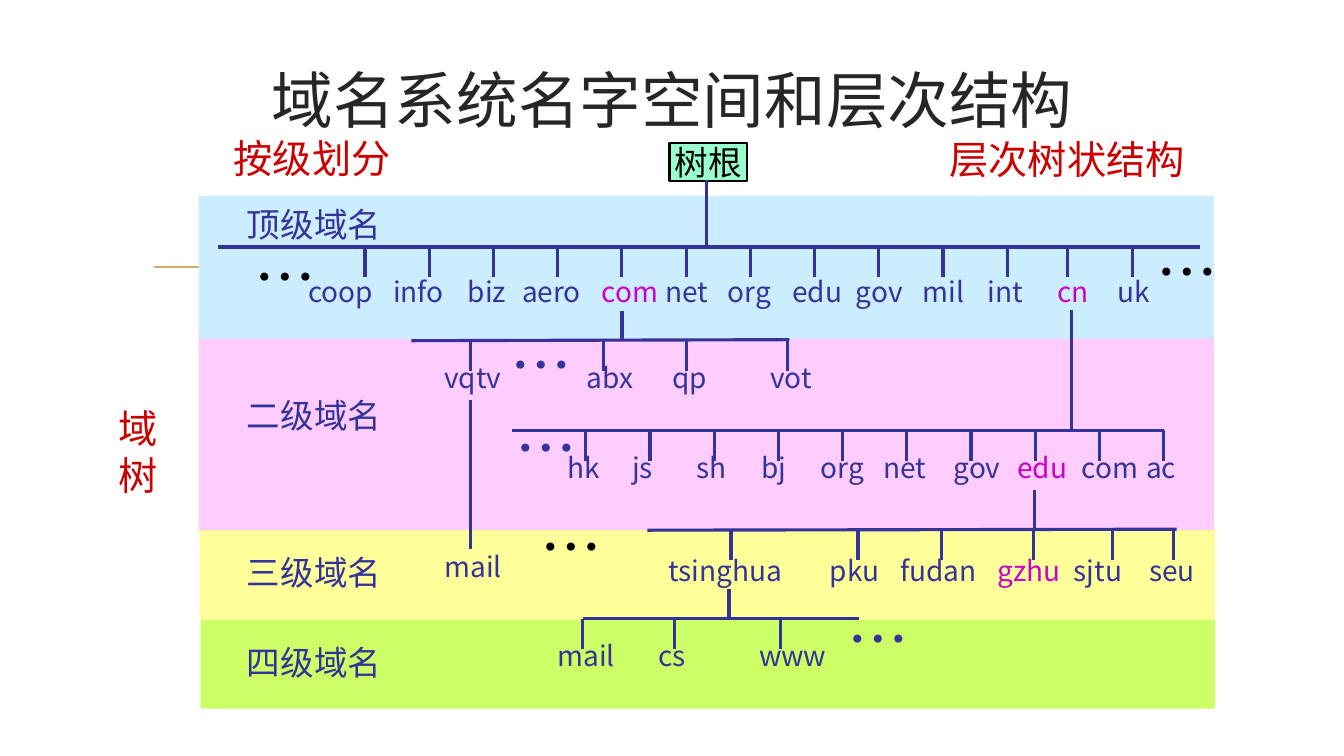
from pptx import Presentation
from pptx.dml.color import RGBColor
from pptx.enum.shapes import MSO_CONNECTOR as Connector, MSO_SHAPE as Preset
from pptx.enum.text import MSO_ANCHOR as Anchor, MSO_AUTO_SIZE as AutoSize, PP_ALIGN as Align
from pptx.oxml.ns import qn
from pptx.util import Inches, Pt
from lxml.etree import SubElement

FONT = "Noto Sans CJK SC"
COLORS = {
    "title": "262626", "heading": "CC0000", "tree": "333399", "active": "CC00CC",
    "black": "000000", "root": "99FFCC", "rule": "CBAF62",
    "top": "CCECFF", "second": "FFCCFF", "third": "FFFF99", "fourth": "CCFF66",
}
ACTIVE = {("top", "com"), ("top", "cn"), ("china", "edu"), ("education", "gzhu")}

BANDS = [
    ("third", 1.98, 5.23, 10.07, 0.92),
    ("fourth", 1.99, 6.15, 10.06, 0.88),
    ("second", 1.97, 3.29, 10.07, 1.97),
    ("top", 1.97, 1.94, 10.07, 1.42),
]
LEVELS = [("顶级域名", 1.97), ("二级域名", 3.87), ("三级域名", 5.43), ("四级域名", 6.32)]
HEADINGS = [
    ("层次树状结构", 9.32, 1.29, 2.56, 0.57),
    ("按级划分", 2.22, 1.28, 1.77, 0.57),
    ("域\n树", 1.08, 3.96, 0.73, 1.04),
]
ELLIPSES = [
    (11.37, 2.27, "black"), (2.43, 2.32, "black"), (5.26, 5.0, "black"),
    (5.01, 4.02, "tree"), (4.97, 3.19, "tree"), (8.31, 5.91, "tree"),
]
STEMS = [
    (7.01, 1.79, 2.47), (6.17, 3.09, 3.38), (10.63, 3.08, 4.27),
    (4.67, 3.97, 5.45), (10.26, 4.86, 5.25), (7.23, 5.84, 6.14),
]


def evenly(first, last, count):
    return [first + (last - first) * i / (count - 1) for i in range(count)]


BRANCHES = [
    ("top", (2.16, 2.45, 11.9, 2.45), 2.67,
     evenly(3.62, 9.99, 11) + [10.59, 11.23],
     [("coop", 2.96, 0.88), ("info", 3.8, 0.72), ("biz", 4.54, 0.59),
      ("aero", 5.08, 0.8), ("com", 5.87, 0.78), ("net", 6.5, 0.64),
      ("org", 7.12, 0.66), ("edu", 7.76, 0.71), ("gov", 8.39, 0.71),
      ("mil", 9.05, 0.61), ("int", 9.7, 0.55), ("cn", 10.39, 0.52),
      ("uk", 10.99, 0.53)]),
    ("commerce", (4.08, 3.38, 7.83, 3.37), 3.53,
     [4.67, 5.99, 6.81, 7.81],
     [("vqtv", 4.31, 0.9), ("abx", 5.72, 0.72), ("qp", 6.57, 0.6),
      ("vot", 7.54, 0.75)]),
    ("china", (5.08, 4.27, 11.54, 4.27), 4.42,
     evenly(5.81, 11.54, 10),
     [("hk", 5.53, 0.53), ("js", 6.17, 0.41), ("sh", 6.81, 0.5),
      ("bj", 7.45, 0.46), ("org", 8.04, 0.66), ("net", 8.66, 0.64),
      ("gov", 9.36, 0.71), ("edu", 9.99, 0.71), ("com", 10.63, 0.78),
      ("ac", 11.27, 0.5)]),
    ("education", (6.42, 5.26, 11.67, 5.25), 5.44,
     [7.25, 8.51, 9.34, 10.25, 11.03, 11.64],
     [("tsinghua", 6.53, 1.36), ("pku", 8.13, 0.71), ("fudan", 8.83, 0.98),
      ("gzhu", 9.8, 0.86), ("sjtu", 10.55, 0.68), ("seu", 11.3, 0.66)]),
    ("campus", (5.78, 6.14, 8.52, 6.14), 6.29,
     [5.78, 6.69, 7.74],
     [("mail", 5.43, 0.77), ("cs", 6.43, 0.47), ("www", 7.43, 0.87)]),
]


def rgb(name):
    return RGBColor.from_string(COLORS[name])


def inches(*lengths):
    return [Inches(length) for length in lengths]


def write(frame, text, size, color, align=Align.LEFT):
    frame.text = text
    for paragraph in frame.paragraphs:
        paragraph.alignment = align
        for run in paragraph.runs:
            for key, value in {"name": FONT, "size": Pt(size)}.items():
                setattr(run.font, key, value)
            run.font.color.rgb = rgb(color)
            SubElement(run.font._element, qn("a:ea"), typeface=FONT)


def add_label(slide, text, box, size, color):
    frame = slide.shapes.add_textbox(*inches(*box)).text_frame
    frame.word_wrap = True
    frame.auto_size = AutoSize.SHAPE_TO_FIT_TEXT
    write(frame, text, size, color)


def add_block(slide, box, color):
    block = slide.shapes.add_shape(Preset.RECTANGLE, *inches(*box))
    block.shadow.inherit = False
    block.fill.solid()
    block.fill.fore_color.rgb = rgb(color)
    block.line.fill.background()
    return block


def add_line(slide, ends, color="tree", width=2.25):
    line = slide.shapes.add_connector(Connector.STRAIGHT, *inches(*ends))
    line.line.color.rgb = rgb(color)
    line.line.width = Pt(width)
    SubElement(line._element.spPr, qn("a:effectLst"))


def add_title(slide, text):
    title = slide.shapes.title
    place = zip(("left", "top", "width", "height"), inches(1.42, 0.54, 10.5, 0.89))
    for key, value in place:
        setattr(title, key, value)
    title.text_frame.vertical_anchor = Anchor.MIDDLE
    write(title.text_frame, text, 44, "title", Align.CENTER)


def add_root(slide):
    root = add_block(slide, (6.64, 1.42, 0.77, 0.38), "root")
    root.line.color.rgb = rgb("black")
    root.line.width = Pt(1.5)
    root.text_frame.word_wrap = False
    root.text_frame.vertical_anchor = Anchor.MIDDLE
    write(root.text_frame, "树根", 24, "black", Align.CENTER)


def add_branch(slide, branch, bar, label_top, ticks, domains):
    add_line(slide, bar)
    for x in ticks:
        add_line(slide, (x, bar[1], x, bar[1] + 0.3))
    for domain, left, width in domains:
        color = "active" if (branch, domain) in ACTIVE else "tree"
        add_label(slide, domain, (left, label_top, width, 0.44), 20, color)


def main():
    deck = Presentation()
    deck.slide_width, deck.slide_height = inches(13.33, 7.5)
    slide = deck.slides.add_slide(deck.slide_layouts[5])
    add_title(slide, "域名系统名字空间和层次结构")
    add_line(slide, (1.53, 2.65, 11.81, 2.65), "rule", 1.25)
    for color, *box in BANDS:
        add_block(slide, box, color)
    add_root(slide)
    for x, top, bottom in STEMS:
        add_line(slide, (x, top, x, bottom))
    for branch in BRANCHES:
        add_branch(slide, *branch)
    add_label(slide, "mail", (4.31, 5.4, 0.77, 0.44), 20, "tree")
    for left, top, color in ELLIPSES:
        add_label(slide, "…", (left, top, 0.7, 0.84), 44, color)
    for level, top in LEVELS:
        add_label(slide, level, (2.35, top, 1.54, 0.5), 24, "tree")
    for heading, *box in HEADINGS:
        add_label(slide, heading, box, 28, "heading")
    deck.save("out.pptx")


if __name__ == "__main__":
    main()
